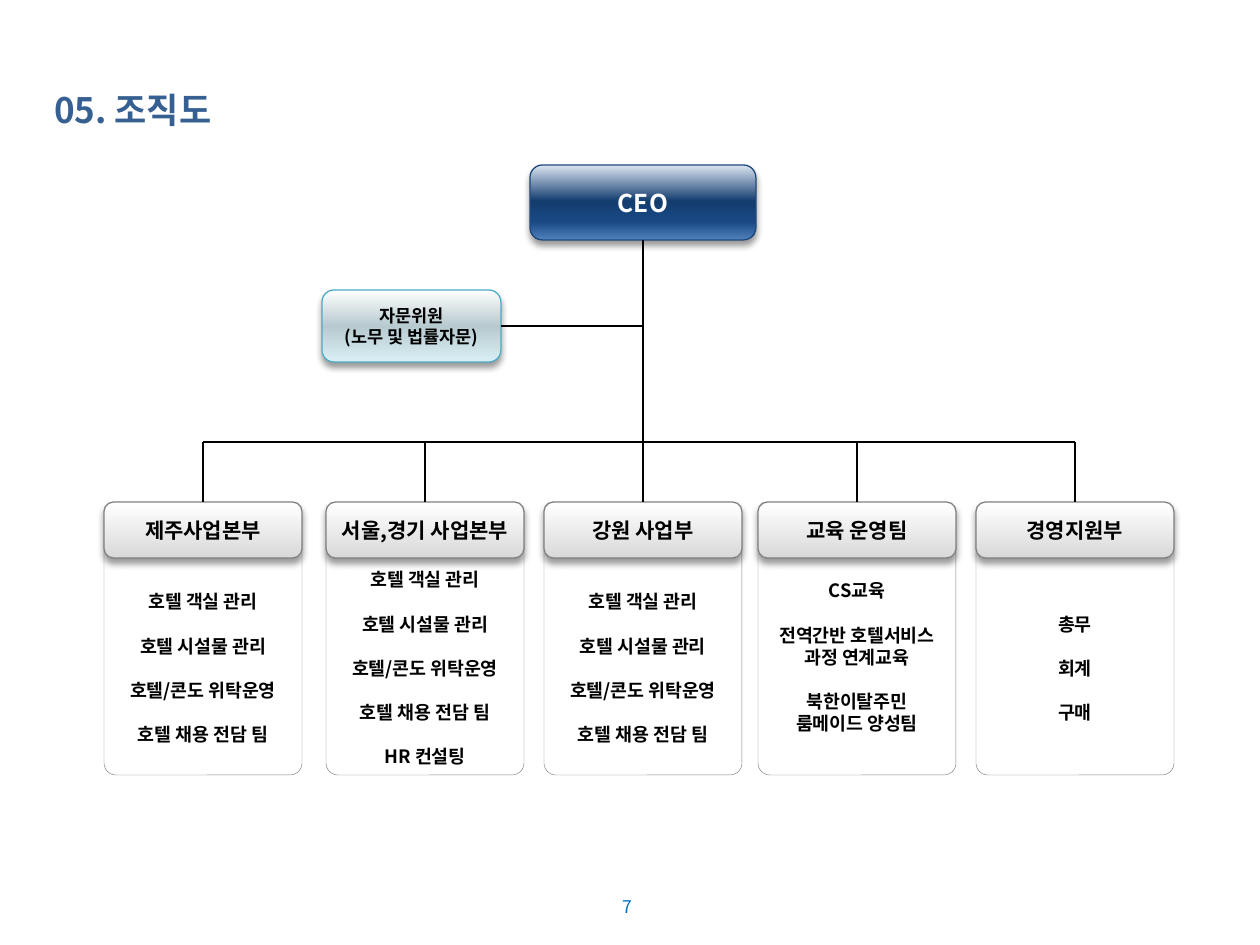
from collections import namedtuple
from dataclasses import dataclass

from lxml.etree import SubElement
from pptx import Presentation
from pptx.dml.color import RGBColor
from pptx.enum.shapes import MSO_CONNECTOR as Connector, MSO_SHAPE as Shape
from pptx.enum.text import MSO_ANCHOR as Anchor, MSO_AUTO_SIZE as AutoSize, PP_ALIGN as Align
from pptx.oxml.ns import qn
from pptx.util import Emu, Pt

EMU_PER_PX = 914400 / 126
TOP, LEFT, BOTTOM, RIGHT = range(4)

Box = namedtuple("Box", "left top width height")
Style = namedtuple("Style", "size color bold")


@dataclass(frozen=True)
class Theme:
    font: str = "Noto Sans CJK KR"
    title: Style = Style(20, "376092", True)
    ceo: Style = Style(14, "FFFFFF", True)
    adviser: Style = Style(10, "000000", True)
    header: Style = Style(12, "000000", True)
    body: Style = Style(10.5, "000000", True)
    page: Style = Style(10, "0070C0", False)
    line_height: float = 1.2
    white: str = "FFFFFF"
    black: str = "000000"
    grey: str = "808080"
    navy: str = "1F497D"
    teal: str = "4BACC6"
    ceo_stops: tuple = ((0, "DCE6F2"), (48, "143D6F"), (75, "184884"), (100, "4F81BD"))
    adviser_stops: tuple = ((0, "FFFFFF"), (50, "B7CACF"), (100, "D9EFF5"))
    header_stops: tuple = ((0, "FFFFFF"), (100, "D9D9D9"))


THEME = Theme()
HOTEL_TASKS = ["호텔 객실 관리", "호텔 시설물 관리", "호텔/콘도 위탁운영", "호텔 채용 전담 팀"]
# Left edge, name, groups of lines; groups stand one blank line apart
DEPARTMENTS = [
    (104, "제주사업본부", [[task] for task in HOTEL_TASKS]),
    (326, "서울,경기 사업본부", [[task] for task in HOTEL_TASKS + ["HR 컨설팅"]]),
    (544, "강원 사업부", [[task] for task in HOTEL_TASKS]),
    (758, "교육 운영팀", [["CS교육"], ["전역간반 호텔서비스", "과정 연계교육"],
                    ["북한이탈주민", "룸메이드 양성팀"]]),
    (976, "경영지원부", [["총무"], ["회계"], ["구매"]]),
]


def px(length):
    return Emu(round(length * EMU_PER_PX))


def emu_box(box):
    return [px(length) for length in box]


def rgb(color):
    return RGBColor.from_string(color)


def set_text(shape, lines, style, align=Align.CENTER, anchor=Anchor.MIDDLE, insets=(0, 6, 0, 6)):
    frame = shape.text_frame
    frame.text = "\n".join(lines)
    frame.word_wrap = True
    frame.auto_size = AutoSize.NONE
    frame.vertical_anchor = anchor
    (frame.margin_left, frame.margin_top,
     frame.margin_right, frame.margin_bottom) = emu_box(insets)
    for paragraph in frame.paragraphs:
        paragraph.alignment = align
        paragraph.line_spacing = Pt(style.size * THEME.line_height)
        paragraph.space_before = paragraph.space_after = Pt(0)
        for run in paragraph.runs:
            font = run.font
            font.name, font.size, font.bold = THEME.font, Pt(style.size), style.bold
            font.color.rgb = rgb(style.color)
            SubElement(font._element, qn("a:ea"), typeface=THEME.font)


def fill_gradient(shape, stops):
    shape.fill.gradient()
    shape.fill.gradient_angle = 270
    stop_list = shape._element.spPr.find(qn("a:gradFill")).find(qn("a:gsLst"))
    for stop in list(stop_list):
        stop_list.remove(stop)
    for position, color in stops:
        stop = SubElement(stop_list, qn("a:gs"), pos=str(position * 1000))
        SubElement(stop, qn("a:srgbClr"), val=color)


def add_soft_shadow(shape):
    effects = shape._element.spPr.find(qn("a:effectLst"))
    shadow = SubElement(effects, qn("a:outerShdw"), blurRad=str(Pt(4)), dist=str(Pt(3)),
                        dir="5400000", rotWithShape="0")
    color = SubElement(shadow, qn("a:srgbClr"), val=THEME.black)
    SubElement(color, qn("a:alpha"), val="40000")


def add_outlined(slide, preset, box, line_color, line_width):
    shape = slide.shapes.add_shape(preset, *emu_box(box))
    shape.shadow.inherit = False
    shape.line.color.rgb = rgb(line_color)
    shape.line.width = Pt(line_width)
    return shape


def add_button(slide, box, lines, style, stops, line_color):
    shape = add_outlined(slide, Shape.ROUNDED_RECTANGLE, box, line_color, 0.75)
    fill_gradient(shape, stops)
    add_soft_shadow(shape)
    set_text(shape, lines, style)
    return shape


def add_line(slide, start, end, begin=None, finish=None):
    """Draw a line; begin and finish are (shape, side) pairs to join."""
    line = slide.shapes.add_connector(Connector.STRAIGHT, *emu_box(start + end))
    line.line.color.rgb = rgb(THEME.black)
    line.line.width = Pt(1.5)
    SubElement(line._element.spPr, qn("a:effectLst"))
    if begin:
        line.begin_connect(*begin)
    if finish:
        line.end_connect(*finish)


def add_department(slide, box, name, groups):
    """Place a task panel with its header overlapping the panel's top; return the header."""
    header_height, panel_top = 56, 40
    panel_box = Box(box.left, box.top + panel_top, box.width, box.height - panel_top)
    panel = add_outlined(slide, Shape.ROUND_2_SAME_RECTANGLE, panel_box, THEME.grey, 0.25)
    panel.adjustments[0], panel.adjustments[1] = 0, 0.06
    panel.fill.solid()
    panel.fill.fore_color.rgb = rgb(THEME.white)
    set_text(panel, [line for group in groups for line in group], THEME.body)

    line_points = THEME.body.size * THEME.line_height
    paragraphs = panel.text_frame.paragraphs
    if all(len(group) == 1 for group in groups):
        for paragraph in paragraphs:
            paragraph.line_spacing = Pt(2 * line_points)
    else:
        first = 0
        for group in groups[:-1]:
            first += len(group)
            paragraphs[first].space_before = Pt(line_points)

    return add_button(slide, box._replace(height=header_height), [name], THEME.header,
                      THEME.header_stops, THEME.grey)


def add_organisation(slide, box):
    ceo_box = Box(box.left + 426, box.top, 226, 75)
    adviser_box = Box(box.left + 218, box.top + 125, 179, 72)
    trunk_x = ceo_box.left + ceo_box.width // 2
    adviser_y = adviser_box.top + adviser_box.height // 2
    bus_y, row_top, column_width = box.top + 277, box.top + 337, 198

    ceo = add_button(slide, ceo_box, ["CEO"], THEME.ceo, THEME.ceo_stops, THEME.navy)
    adviser = add_button(slide, adviser_box, ["자문위원", "(노무 및 법률자문)"],
                         THEME.adviser, THEME.adviser_stops, THEME.teal)
    add_line(slide, (adviser_box.left + adviser_box.width, adviser_y), (trunk_x, adviser_y),
             begin=(adviser, RIGHT))

    centers = []
    for left, name, groups in DEPARTMENTS:
        column = Box(left, row_top, column_width, box.top + box.height - row_top)
        header = add_department(slide, column, name, groups)
        center = left + column_width // 2
        centers.append(center)
        if center == trunk_x:
            add_line(slide, (center, ceo_box.top + ceo_box.height), (center, row_top),
                     begin=(ceo, BOTTOM), finish=(header, TOP))
        else:
            add_line(slide, (center, bus_y), (center, row_top), finish=(header, TOP))
    add_line(slide, (centers[0], bus_y), (centers[-1], bus_y))


def add_title(slide, box):
    title = slide.shapes.title
    title.left, title.top, title.width, title.height = emu_box(box)
    set_text(title, ["05. 조직도"], THEME.title, Align.LEFT, Anchor.TOP, (10, 0, 0, 0))


def add_page_number(slide, box):
    number = slide.shapes.add_textbox(*emu_box(box))
    set_text(number, ["7"], THEME.page, Align.LEFT, Anchor.TOP, (12, 6, 12, 6))


def main():
    presentation = Presentation()
    presentation.slide_width, presentation.slide_height = px(1260), px(945)
    slide = presentation.slides.add_slide(presentation.slide_layouts[5])
    add_title(slide, Box(44, 88, 586, 43))
    add_organisation(slide, Box(104, 165, 1070, 610))
    add_page_number(slide, Box(610, 890, 54, 39))
    presentation.save("out.pptx")


if __name__ == "__main__":
    main()
